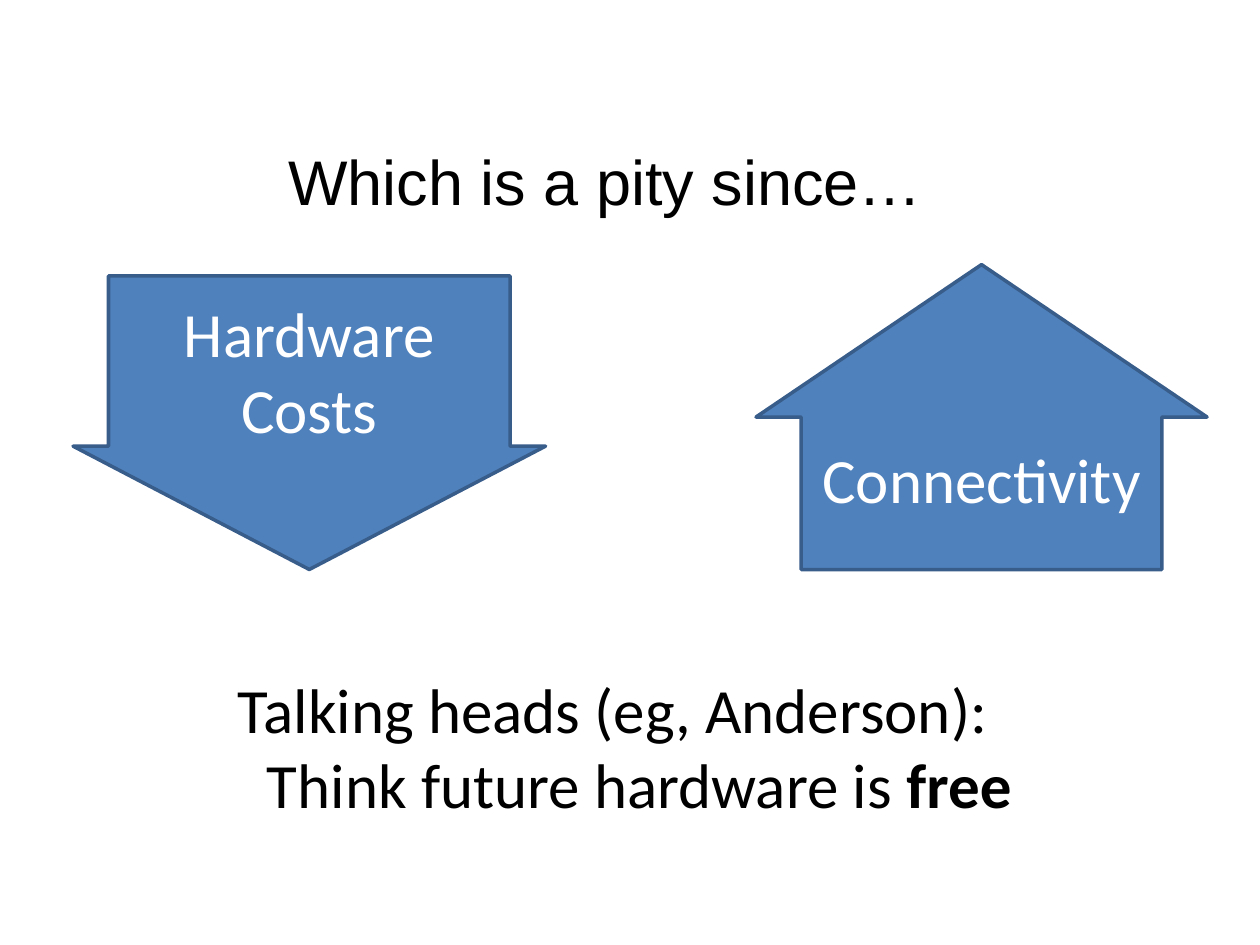
from pptx import Presentation
from pptx import util as u
from pptx.dml.color import RGBColor
from pptx.enum import shapes, text

BLUE, DARK_BLUE, WHITE, BLACK = "4F81BD", "385D8A", "FFFFFF", "000000"


def color(value):
    return RGBColor.from_string(value)


def set_attributes(target, values):
    for name, value in values.items():
        setattr(target, name, value)


def add_run(paragraph, words, font_name, font_color, bold=False):
    run = paragraph.add_run()
    run.text = words
    set_attributes(run.font, {"name": font_name, "size": u.Pt(36), "bold": bold})
    run.font.color.rgb = color(font_color)


def add_arrow(slide, box, kind, adjustments, label):
    shape = slide.shapes.add_shape(kind, *map(u.Inches, box))
    shape.shadow.inherit = False
    for index, value in enumerate(adjustments):
        shape.adjustments[index] = value
    shape.fill.solid()
    shape.fill.fore_color.rgb = color(BLUE)
    shape.line.color.rgb = color(DARK_BLUE)
    shape.line.width = u.Pt(2)
    set_attributes(shape.text_frame, {
        "word_wrap": True,
        "vertical_anchor": text.MSO_ANCHOR.MIDDLE,
    })
    paragraph = shape.text_frame.paragraphs[0]
    paragraph.alignment = text.PP_ALIGN.CENTER
    add_run(paragraph, label, "Calibri", WHITE)


def add_text(slide, box, font_name, lines):
    frame = slide.shapes.add_textbox(*map(u.Inches, box)).text_frame
    set_attributes(frame, {
        "word_wrap": False,
        "auto_size": text.MSO_AUTO_SIZE.SHAPE_TO_FIT_TEXT,
    })
    for index, (indent, runs) in enumerate(lines):
        paragraph = frame.add_paragraph() if index else frame.paragraphs[0]
        if indent:
            properties = paragraph._p.get_or_add_pPr()
            properties.set("marL", str(u.Inches(indent)))
            properties.set("indent", "0")
        for words, bold in runs:
            add_run(paragraph, words, font_name, BLACK, bold)


def main():
    presentation = Presentation()
    presentation.slide_width = u.Inches(10)
    presentation.slide_height = u.Inches(7.5)
    slide = presentation.slides.add_slide(presentation.slide_layouts[6])

    add_arrow(slide, (0.58, 2.19, 3.75, 2.33), shapes.MSO_SHAPE.DOWN_ARROW,
              (0.85, 0.42), "Hardware Costs")
    add_text(slide, (1.79, 5.27, 6.48, 1.3), "Calibri", [
        (0, [("Talking heads (eg, Anderson):", False)]),
        (0.23, [("Think future hardware is ", False), ("free", True)]),
    ])
    add_arrow(slide, (6, 2.1, 3.58, 2.42), shapes.MSO_SHAPE.UP_ARROW,
              (0.8, 0.5), "Connectivity")
    add_text(slide, (2.19, 1.08, 5.23, 0.7), "Arial", [
        (0, [("Which is a pity since…", False)]),
    ])

    presentation.save("out.pptx")


if __name__ == "__main__":
    main()
